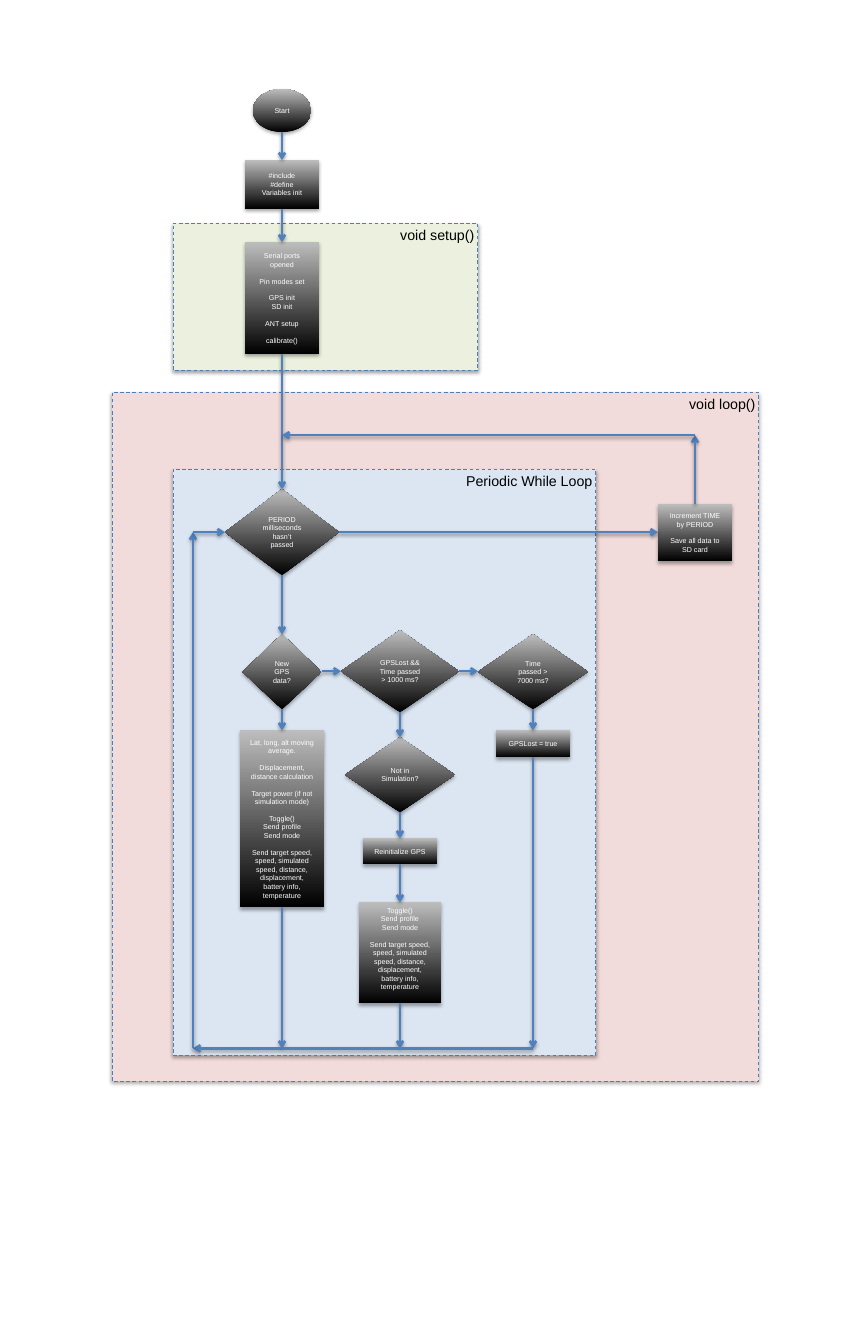
from lxml import etree
from pptx import Presentation
from pptx import util as u
from pptx.dml.color import RGBColor
from pptx.enum import dml, shapes, text
from pptx.oxml.ns import qn

PX = 914400 / 85.3
SHAPE = shapes.MSO_SHAPE


def px(*lengths):
    return [u.Emu(round(length * PX)) for length in lengths]


def color(hex_code):
    return RGBColor.from_string(hex_code)


prs = Presentation()
prs.slide_width, prs.slide_height = u.Inches(10), u.Inches(15.75)
slide = prs.slides.add_slide(prs.slide_layouts[6])

# Dashed frames for the program sections; all parts keep the theme's soft shadow
frames = [
    ("void setup()", 173, 223, 305, 147, "EBF1DE"),
    ("void loop()", 112, 392, 647, 689, "F2DCDB"),
    ("Periodic While Loop", 173, 469, 423, 586, "DCE6F2"),
]
for label, left, top, width, height, tint in frames:
    frame = slide.shapes.add_shape(SHAPE.RECTANGLE, *px(left, top, width, height))
    frame.fill.solid()
    frame.fill.fore_color.rgb = color(tint)
    frame.line.color.rgb = color("4B7EBC")
    frame.line.width = u.Pt(0.75)
    frame.line.dash_style = dml.MSO_LINE.DASH
    heading = frame.text_frame
    heading.word_wrap = True
    heading.vertical_anchor = text.MSO_ANCHOR.TOP
    heading.margin_left = heading.margin_right = u.Inches(0.04)
    heading.margin_top = heading.margin_bottom = u.Inches(0.04)
    line = heading.paragraphs[0]
    line.text = label
    line.alignment = text.PP_ALIGN.RIGHT
    line.font.name, line.font.size = "Arial", u.Pt(12)
    line.font.color.rgb = color("000000")

# Column centres and shared rows
MAIN, LOST, TIMEOUT, SAVE, RETURN = 282, 400, 533, 695, 193
PERIOD_ROW, CHECK_ROW, BACK_ROW, END_ROW = 532, 671, 435, 1048

# Steps: kind, centre x, top, width, height, text (an empty line is a gap)
STEP, CHECK = SHAPE.FLOWCHART_PROCESS, SHAPE.FLOWCHART_DECISION
SEND = ("Toggle()\nSend profile\nSend mode\n\nSend target speed, speed, simulated "
        "speed, distance, displacement, battery info, temperature")
steps = [
    (SHAPE.OVAL, MAIN, 89, 58, 43, "Start"),
    (STEP, MAIN, 160, 74, 49, "#include\n#define\nVariables init"),
    (STEP, MAIN, 242, 74, 112, "Serial ports opened\n\nPin modes set\n\n"
     "GPS init\nSD init\n\nANT setup\n\ncalibrate()"),
    (CHECK, MAIN, 489, 114, 86, "PERIOD milliseconds hasn’t passed"),
    (CHECK, MAIN, 634, 79, 75, "New GPS data?"),
    (STEP, MAIN, 730, 84, 177, "Lat, long, alt moving average.\n\n"
     "Displacement, distance calculation\n\n"
     "Target power (if not simulation mode)\n\n" + SEND),
    (CHECK, LOST, 630, 118, 82, "GPSLost &&\nTime passed > 1000 ms?"),
    (CHECK, LOST, 737, 110, 75, "Not in Simulation?"),
    (STEP, LOST, 838, 74, 26, "Reinitialize GPS"),
    (STEP, LOST, 902, 82, 101, SEND),
    (CHECK, TIMEOUT, 634, 110, 75, "Time passed > 7000 ms?"),
    (STEP, TIMEOUT, 730, 74, 27, "GPSLost = true"),
    (STEP, SAVE, 504, 74, 57, "Increment TIME by PERIOD\n\nSave all data to SD card"),
]
for kind, center, top, width, height, wording in steps:
    step = slide.shapes.add_shape(kind, *px(center - width / 2, top, width, height))
    step.fill.gradient()
    step.fill.gradient_angle = 90
    for stop, shade, position in zip(step.fill.gradient_stops, ("000000", "BDBDBD"), (0, 1)):
        stop.color.rgb = color(shade)
        stop.position = position
    step.line.fill.background()
    body = step.text_frame
    body.word_wrap = True
    body.vertical_anchor = text.MSO_ANCHOR.MIDDLE
    if wording == SEND:
        body.margin_bottom = u.Inches(0.15)
    blocks = [block.split("\n") for block in wording.split("\n\n")]
    lines = [(words, i > 0 and j == 0)
             for i, block in enumerate(blocks) for j, words in enumerate(block)]
    for n, (words, gap) in enumerate(lines):
        line = body.add_paragraph() if n else body.paragraphs[0]
        line.text = words
        line.alignment = text.PP_ALIGN.CENTER
        line.space_before = u.Pt(7 if gap else 0)
        line.font.name, line.font.size = "Arial", u.Pt(6)
        line.font.color.rgb = color("FFFFFF")

# Flow lines: start x, y, end x, y
arrows = [
    (MAIN, 132, MAIN, 160),
    (MAIN, 209, MAIN, 242),
    (MAIN, 354, MAIN, 489),
    (MAIN, 575, MAIN, 634),
    (MAIN, 709, MAIN, 730),
    (MAIN, 907, MAIN, END_ROW),
    (LOST, 712, LOST, 737),
    (LOST, 812, LOST, 838),
    (LOST, 864, LOST, 902),
    (LOST, 1003, LOST, END_ROW),
    (TIMEOUT, 709, TIMEOUT, 730),
    (TIMEOUT, 757, TIMEOUT, END_ROW),
    (322, CHECK_ROW, 341, CHECK_ROW),
    (459, CHECK_ROW, 478, CHECK_ROW),
    (339, PERIOD_ROW, 658, PERIOD_ROW),
    (SAVE, 504, SAVE, BACK_ROW),
    (SAVE, BACK_ROW, MAIN, BACK_ROW),
    (MAIN, END_ROW, RETURN, END_ROW),
    (RETURN, END_ROW, RETURN, PERIOD_ROW),
    (RETURN, PERIOD_ROW, 225, PERIOD_ROW),
]
collector = (MAIN, END_ROW, TIMEOUT, END_ROW)
for ends in arrows + [collector]:
    flow = slide.shapes.add_connector(shapes.MSO_CONNECTOR.STRAIGHT, *px(*ends))
    flow.line.color.rgb = color("4F81BD")
    flow.line.width = u.Pt(2)
    if ends != collector:
        etree.SubElement(flow.line._get_or_add_ln(), qn("a:tailEnd"), type="arrow")

prs.save("out.pptx")
